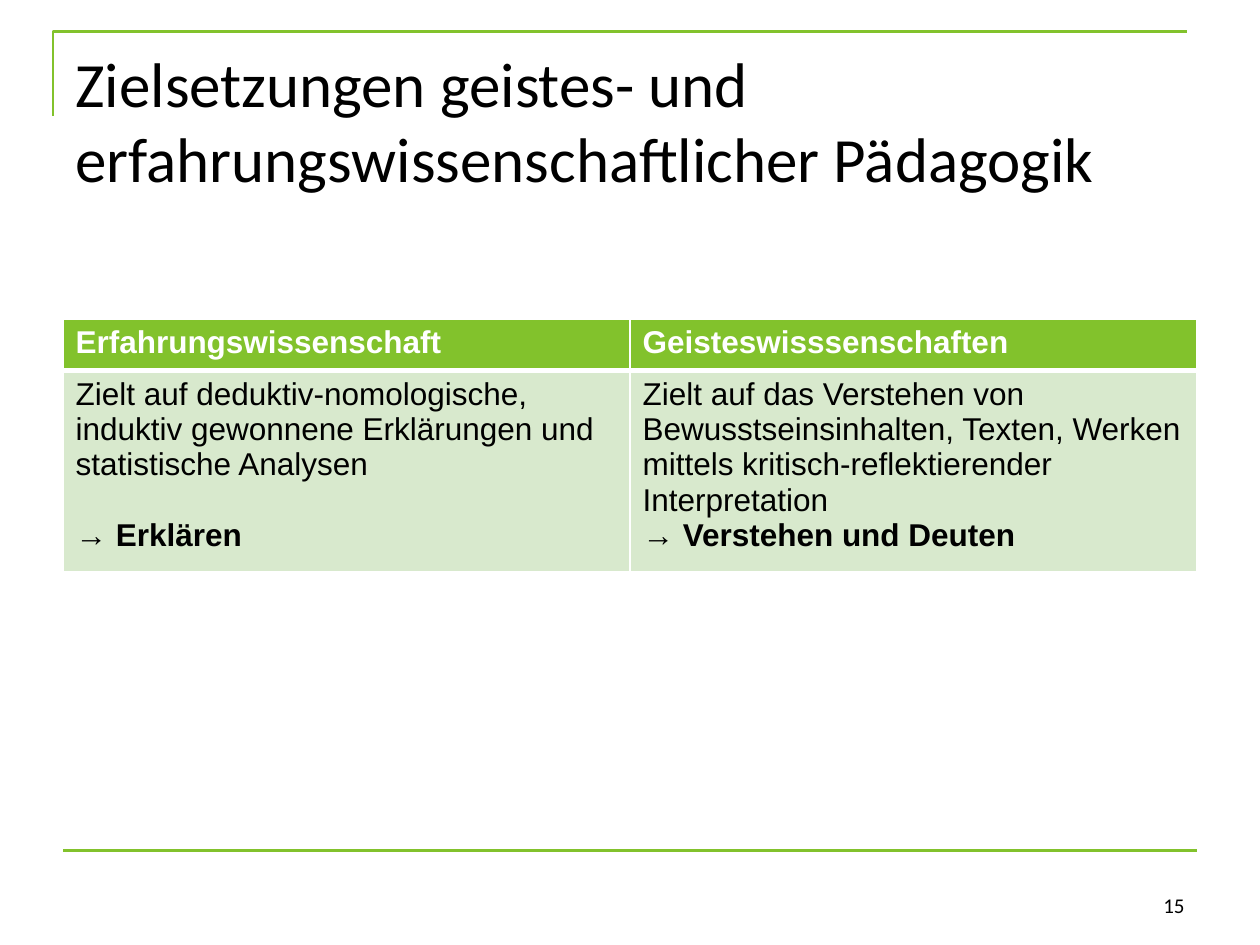
import pptx
import pptx.dml.color
import pptx.enum.shapes
import pptx.enum.text
import pptx.oxml
import pptx.oxml.ns
import pptx.oxml.xmlchemy
import pptx.util
from pptx.util import Inches

COLORS = {"green": "82C22C", "pale": "D8E9CD", "white": "FFFFFF", "black": "000000"}
ALIGN = pptx.enum.text.PP_ALIGN
ANCHOR = pptx.enum.text.MSO_ANCHOR


def rgb(name):
    return pptx.dml.color.RGBColor.from_string(COLORS[name])


class SlideBuilder:
    heading_font = "Calibri"
    body_font = "Arial"
    body_size = 18
    line_width = 1.5

    def __init__(self, slide):
        self.s = slide

    def style_line(self, line):
        line.color.rgb = rgb("green")
        line.width = pptx.util.Pt(self.line_width)

    def style_font(self, p, name, size, color):
        p.font.name = name
        p.font.size = pptx.util.Pt(size)
        p.font.color.rgb = rgb(color)

    def corner(self, left, top, right, bottom):
        builder = self.s.shapes.build_freeform(Inches(left), Inches(bottom))
        points = [(Inches(left), Inches(top)), (Inches(right), Inches(top))]
        builder.add_line_segments(points, close=False)
        sp = builder.convert_to_shape()
        sp.shadow.inherit = False
        sp.fill.background()
        self.style_line(sp.line)

    def rule(self, left, right, y):
        sp = self.s.shapes.add_connector(
            pptx.enum.shapes.MSO_CONNECTOR.STRAIGHT,
            Inches(left), Inches(y), Inches(right), Inches(y))
        self.style_line(sp.line)
        sp.element.spPr.append(pptx.oxml.xmlchemy.OxmlElement("a:effectLst"))

    def text(self, text, left, top, width, height, size,
             align=ALIGN.LEFT, anchor=ANCHOR.TOP):
        sp = self.s.shapes.add_textbox(
            Inches(left), Inches(top), Inches(width), Inches(height))
        tf = sp.text_frame
        tf.word_wrap = True
        tf.vertical_anchor = anchor
        p = tf.paragraphs[0]
        p.text = text
        p.alignment = align
        self.style_font(p, self.heading_font, size, "black")

    def borders(self, cell, top, bottom):
        tcPr = cell._tc.get_or_add_tcPr()
        widths = {"a:lnL": 1, "a:lnR": 1, "a:lnT": top, "a:lnB": bottom}
        for i, (tag, width) in enumerate(widths.items()):
            ln = pptx.oxml.parse_xml(
                f'<{tag} {pptx.oxml.ns.nsdecls("a")} w="{pptx.util.Pt(width)}">'
                f'<a:solidFill><a:srgbClr val="{COLORS["white"]}"/></a:solidFill></{tag}>')
            tcPr.insert(i, ln)

    def fill_cell(self, cell, fill, top, bottom):
        cell.fill.solid()
        cell.fill.fore_color.rgb = rgb(fill)
        self.borders(cell, top, bottom)

    def table(self, columns, left, top, width, row_heights):
        table = self.s.shapes.add_table(
            len(row_heights), len(columns), Inches(left), Inches(top),
            Inches(width), Inches(sum(row_heights))).table
        for row, height in zip(table.rows, row_heights):
            row.height = Inches(height)
        for i, (heading, aim, result, gap) in enumerate(columns):
            head, body = table.cell(0, i), table.cell(1, i)
            self.fill_cell(head, "green", 1, 3)
            self.fill_cell(body, "pale", 3, 1)

            p = head.text_frame.paragraphs[0]
            p.text = heading
            self.style_font(p, self.body_font, self.body_size, "white")
            p.font.bold = True

            tf = body.text_frame
            p = tf.paragraphs[0]
            p.text = aim
            self.style_font(p, self.body_font, self.body_size, "black")
            p.font.bold = False

            p = tf.add_paragraph()
            p.space_before = pptx.util.Pt(gap)
            self.style_font(p, self.body_font, self.body_size, "black")
            for text, bold in (("→ ", False), (result, True)):
                r = p.add_run()
                r.text = text
                r.font.bold = bold


def main():
    prs = pptx.Presentation()
    prs.slide_width, prs.slide_height = Inches(10), Inches(7.5)
    slide = SlideBuilder(prs.slides.add_slide(prs.slide_layouts[6]))

    slide.corner(0.42, 0.25, 9.42, 0.92)
    slide.rule(0.5, 9.5, 6.75)
    slide.text("Zielsetzungen geistes- und erfahrungswissenschaftlicher Pädagogik",
               0.5, 0.3, 9, 1.25, 36)
    columns = [
        ("Erfahrungswissenschaft",
         "Zielt auf deduktiv-nomologische, induktiv gewonnene Erklärungen "
         "und statistische Analysen",
         "Erklären", 20),
        ("Geisteswisssenschaften",
         "Zielt auf das Verstehen von Bewusstseinsinhalten, Texten, Werken "
         "mittels kritisch-reflektierender Interpretation",
         "Verstehen und Deuten", 0),
    ]
    slide.table(columns, 0.5, 2.53, 9, [0.41, 1.49])
    slide.text("15", 7.17, 6.83, 2.33, 0.5, 12, ALIGN.RIGHT, ANCHOR.BOTTOM)
    prs.save("out.pptx")


if __name__ == "__main__":
    main()
